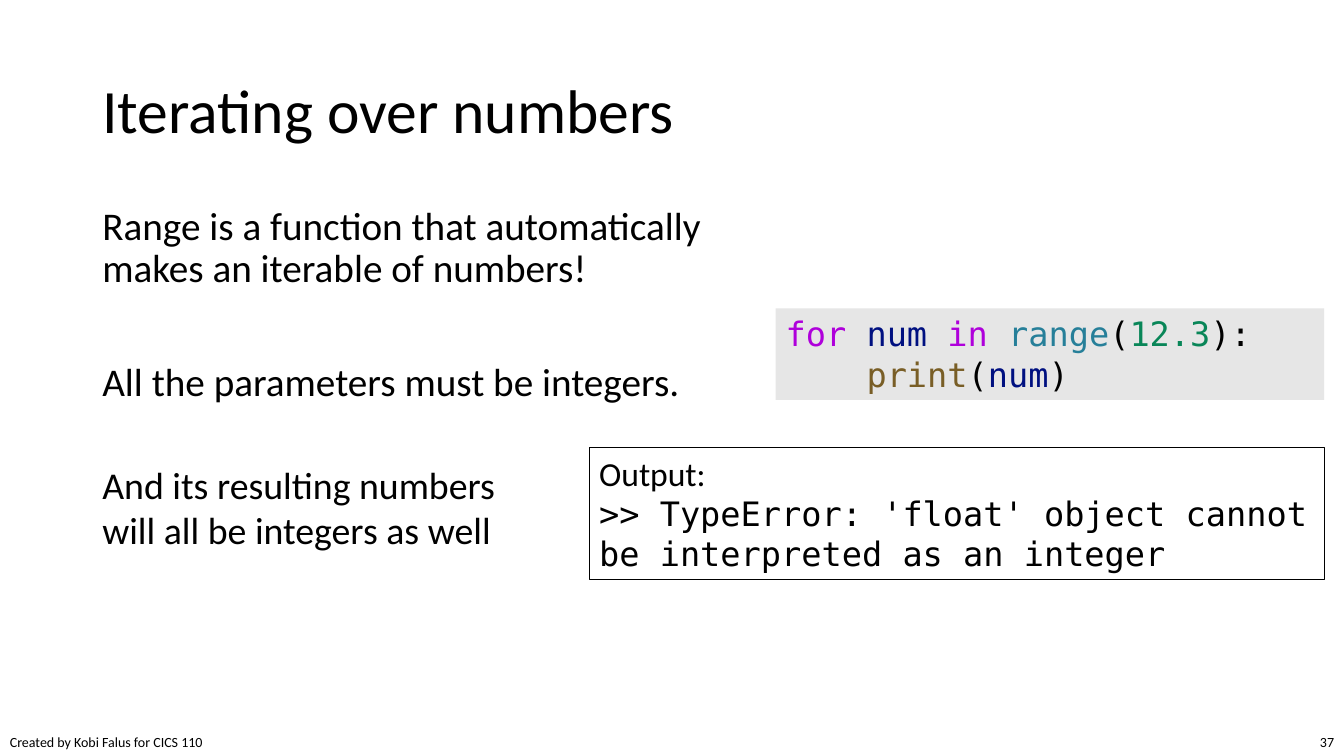
import pptx
import pptx.dml.color
import pptx.enum.shapes
import pptx.enum.text
import pptx.util

Cm = pptx.util.Cm
Pt = pptx.util.Pt
ANCHOR = pptx.enum.text.MSO_ANCHOR
ALIGN = pptx.enum.text.PP_ALIGN

SANS = "Calibri"
MONO = "DejaVu Sans Mono"
BLACK = "000000"
KEYWORD = "AF00DB"
VARIABLE = "001080"
CLASS_NAME = "267F99"
NUMBER = "098658"
FUNCTION = "795E26"

CODE_LINES = [
    [("for ", KEYWORD), ("num ", VARIABLE), ("in ", KEYWORD),
     ("range", CLASS_NAME), ("(", BLACK), ("12.3", NUMBER), ("):", BLACK)],
    [("    ", BLACK), ("print", FUNCTION), ("(", BLACK),
     ("num", VARIABLE), (")", BLACK)],
]


def rgb(value):
    return pptx.dml.color.RGBColor.from_string(value)


def apply_format(target, values):
    for name, value in values.items():
        setattr(target, name, value)


def add_run(paragraph, text, size, font=SANS, color=BLACK):
    run = paragraph.add_run()
    run.text = text
    apply_format(run.font, {"name": font, "size": Pt(size)})
    run.font.color.rgb = rgb(color)


def paragraphs(frame, count):
    """Return the frame's first paragraph and as many new ones as needed."""
    return [frame.paragraphs[0]] + [frame.add_paragraph() for _ in range(count - 1)]


def add_text(slide, box, lines, size, wrap=True, anchor=ANCHOR.TOP, **spacing):
    frame = slide.shapes.add_textbox(*map(Cm, box)).text_frame
    apply_format(frame, {"word_wrap": wrap, "vertical_anchor": anchor})
    for paragraph, line in zip(paragraphs(frame, len(lines)), lines):
        apply_format(paragraph, spacing)
        add_run(paragraph, line, size)
    return frame


def add_panel(slide, box, fill=None, outline=None):
    """Add a rectangle for left-aligned text and return its text frame."""
    panel = slide.shapes.add_shape(
        pptx.enum.shapes.MSO_SHAPE.RECTANGLE, *map(Cm, box))
    panel.shadow.inherit = False
    if fill:
        panel.fill.solid()
        panel.fill.fore_color.rgb = rgb(fill)
    else:
        panel.fill.background()
    if outline:
        panel.line.color.rgb = rgb(outline)
        panel.line.width = Pt(0.75)
    else:
        panel.line.fill.background()
    apply_format(panel.text_frame, {"word_wrap": True, "vertical_anchor": ANCHOR.TOP})
    return panel.text_frame


def add_code(slide, box, lines):
    frame = add_panel(slide, box, fill="E6E6E6")
    for paragraph, tokens in zip(paragraphs(frame, len(lines)), lines):
        paragraph.alignment = ALIGN.LEFT
        for text, color in tokens:
            add_run(paragraph, text, 24, MONO, color)


def add_output(slide, box, message):
    frame = add_panel(slide, box, outline=BLACK)
    lines = [("Output:", SANS), (message, MONO)]
    for paragraph, (text, font) in zip(paragraphs(frame, len(lines)), lines):
        paragraph.alignment = ALIGN.LEFT
        add_run(paragraph, text, 24, font)


def main():
    deck = pptx.Presentation()
    apply_format(deck, {"slide_width": Cm(33.87), "slide_height": Cm(19.05)})
    slide = deck.slides.add_slide(deck.slide_layouts[6])

    add_text(slide, (0, 18.37, 5.46, 0.68),
             ["Created by Kobi Falus for CICS 110"], 10, wrap=False)
    add_text(slide, (32.47, 18.37, 1.4, 0.68), ["37"], 10, alignment=ALIGN.RIGHT)

    add_text(slide, (2.33, 1.01, 29.21, 3.68), ["Iterating over numbers"], 44,
             anchor=ANCHOR.MIDDLE, line_spacing=0.9)
    explanation = add_text(
        slide, (2.33, 5.08, 16.84, 5.59),
        ["Range is a function that automatically makes an iterable of numbers!",
         "All the parameters must be integers."],
        28, line_spacing=0.9)
    explanation.paragraphs[1].space_before = Pt(51)

    add_code(slide, (19.55, 7.77, 13.82, 2.31), CODE_LINES)
    add_output(slide, (14.85, 11.28, 18.37 + 0.15, 3.33),
               ">> TypeError: 'float' object cannot be interpreted as an integer")
    add_text(slide, (2.33, 11.51, 11.76, 2.57),
             ["And its resulting numbers will all be integers as well"], 27)

    deck.save("out.pptx")


if __name__ == "__main__":
    main()
